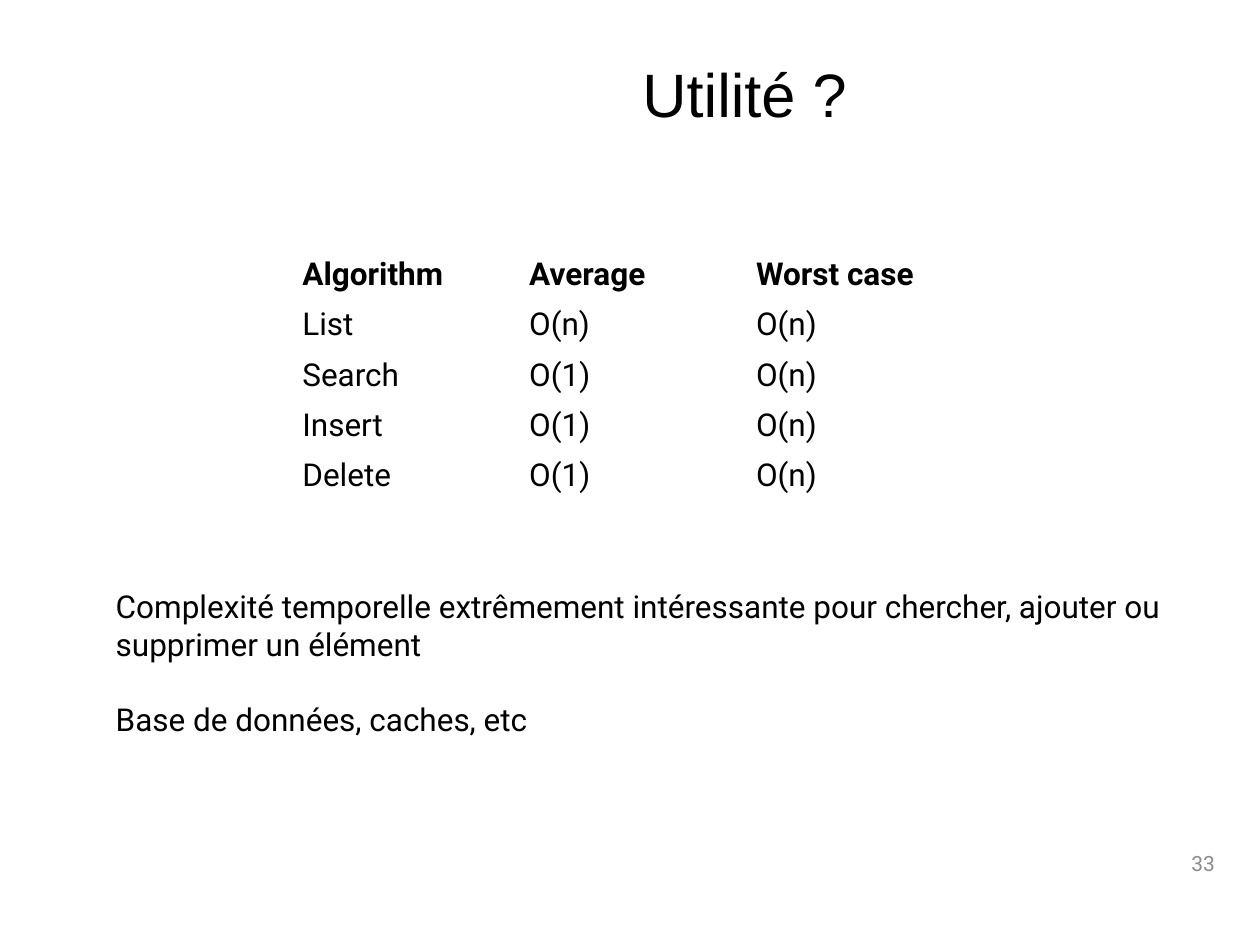
"""Build the slide on the usefulness of hash tables, with their complexity table."""
from pptx import Presentation
from pptx.dml.color import RGBColor
from pptx.enum.text import MSO_ANCHOR, PP_ALIGN
from pptx.util import Inches, Pt

BLACK = RGBColor(0x00, 0x00, 0x00)
GREY = RGBColor(0x8C, 0x8C, 0x8C)


def add_run(paragraph, text, size=18, font="Roboto", color=BLACK, bold=False):
    run = paragraph.add_run()
    run.text = text
    run.font.size = Pt(size)
    run.font.name = font
    run.font.color.rgb = color
    run.font.bold = bold


def add_text_frame(left, top, width, height, anchor):
    frame = slide.shapes.add_textbox(
        Inches(left), Inches(top), Inches(width), Inches(height)
    ).text_frame
    frame.word_wrap = True
    frame.vertical_anchor = anchor
    return frame


presentation = Presentation()
presentation.slide_width = Inches(10)
presentation.slide_height = Inches(7.5)
slide = presentation.slides.add_slide(presentation.slide_layouts[6])

complexities = [
    ("Algorithm", "Average", "Worst case"),
    ("List", "O(n)", "O(n)"),
    ("Search", "O(1)", "O(n)"),
    ("Insert", "O(1)", "O(n)"),
    ("Delete", "O(1)", "O(n)"),
]
complexity_table = slide.shapes.add_table(
    len(complexities), 3, Inches(2.3), Inches(1.98), Inches(5.4), Inches(2)
).table
complexity_table.first_row = False
complexity_table.horz_banding = False
for row, entries in enumerate(complexities):
    for column, entry in enumerate(entries):
        cell = complexity_table.cell(row, column)
        cell.fill.background()
        cell.vertical_anchor = MSO_ANCHOR.MIDDLE
        add_run(cell.text_frame.paragraphs[0], entry, bold=row == 0)

title = add_text_frame(5, 0.25, 4.69, 1.05, MSO_ANCHOR.MIDDLE).paragraphs[0]
title.line_spacing = 0.9
add_run(title, "Utilité ?", size=35, font="Arial")

page_number = add_text_frame(7.49, 6.65, 2.25, 0.4, MSO_ANCHOR.MIDDLE).paragraphs[0]
page_number.alignment = PP_ALIGN.RIGHT
add_run(page_number, "33", size=12, color=GREY)

remarks = add_text_frame(0.82, 4.61, 9.41, 1.31, MSO_ANCHOR.TOP)
add_run(
    remarks.paragraphs[0],
    "Complexité temporelle extrêmement intéressante pour chercher, "
    "ajouter ou supprimer un élément",
)
uses = remarks.add_paragraph()
uses.space_before = Pt(21.6)
add_run(uses, "Base de données, caches, etc")

presentation.save("out.pptx")
